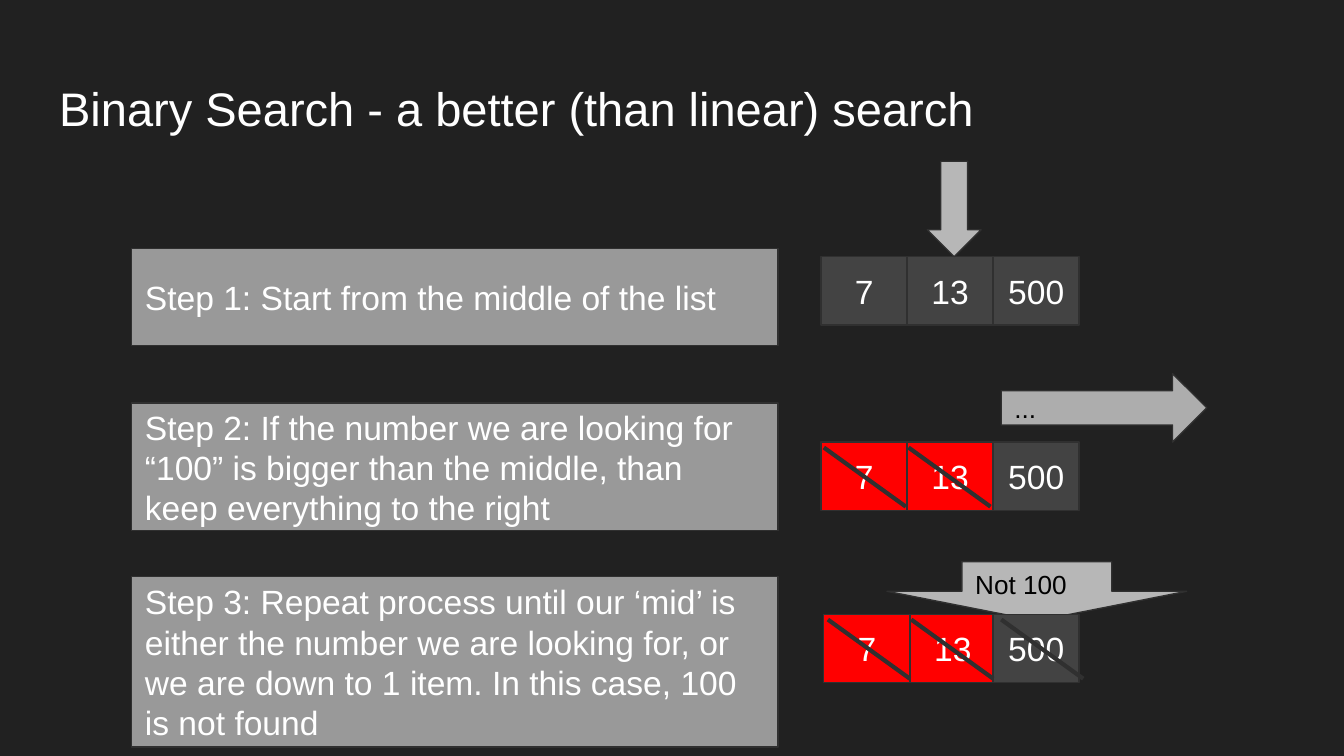
import pptx
import pptx.util
import pptx.dml.color
import pptx.enum.shapes
import pptx.enum.text
import pptx.oxml

Inches = pptx.util.Inches
Pt = pptx.util.Pt
RGBColor = pptx.dml.color.RGBColor
Kind = pptx.enum.shapes.MSO_SHAPE
Align = pptx.enum.text.PP_ALIGN
Anchor = pptx.enum.text.MSO_ANCHOR

BACK = RGBColor(0x21, 0x21, 0x21)
WHITE = RGBColor(0xFF, 0xFF, 0xFF)
BLACK = RGBColor(0x00, 0x00, 0x00)
EDGE = RGBColor(0x30, 0x30, 0x30)
PANEL = RGBColor(0x99, 0x99, 0x99)
DARK = RGBColor(0x43, 0x43, 0x43)
RED = RGBColor(0xFF, 0x00, 0x00)
LIGHT = RGBColor(0xB7, 0xB7, 0xB7)
SILVER = RGBColor(0xAD, 0xAD, 0xAD)

WIDE = Inches(10)
FRAME = {
    "word_wrap": True,
    "vertical_anchor": Anchor.MIDDLE,
    "margin_left": Inches(0.1),
    "margin_top": Inches(0.1),
    "margin_right": Inches(0.1),
    "margin_bottom": Inches(0.1),
}
CELL_W, CELL_H = 0.64, 0.51
STEPS = [
    (1.85, 0.72, "Step 1: Start from the middle of the list"),
    (3, 0.95, "Step 2: If the number we are looking for “100” is bigger "
              "than the middle, than keep everything to the right"),
    (4.29, 1.27, "Step 3: Repeat process until our ‘mid’ is either the number we are "
                 "looking for, or we are down to 1 item. In this case, 100 is not found"),
]


def apply(item, values):
    """Set each named value on the item."""
    for name, value in values.items():
        setattr(item, name, value)


def write(shape, text, size, color=WHITE, align=Align.LEFT):
    """Put one formatted paragraph into a shape."""
    frame = shape.text_frame
    apply(frame, FRAME)
    par = frame.paragraphs[0]
    par.alignment = align
    run = par.add_run()
    apply(run, {"text": text})
    apply(run.font, {"name": "Arial", "size": Pt(size), "bold": False})
    run.font.color.rgb = color


def block(slide, kind, box, fill):
    """Add a filled shape with a thin edge."""
    shape = slide.shapes.add_shape(kind, *map(Inches, box))
    shape.shadow.inherit = False
    shape.fill.solid()
    shape.fill.fore_color.rgb = fill
    shape.line.color.rgb = EDGE
    shape.line.width = Pt(0.75)
    return shape


def title(slide, text):
    """Place the slide title."""
    shape = slide.shapes.title
    apply(shape, {"left": Inches(0.34), "top": Inches(0.49),
                  "width": Inches(9.32), "height": Inches(0.63)})
    write(shape, text, 25.2)
    shape.text_frame.vertical_anchor = Anchor.TOP


def step(slide, top, height, text):
    """Add one step panel."""
    shape = block(slide, Kind.RECTANGLE, (0.98, top, 4.81, height), PANEL)
    write(shape, text, 18)


def cells(slide, top, lefts, fills):
    """Add one row of list cells."""
    for text, left, fill in zip(("7", "13", "500"), lefts, fills):
        shape = block(slide, Kind.RECTANGLE, (left, top, CELL_W, CELL_H), fill)
        write(shape, text, 18, align=Align.CENTER)


def strike(slide, left, top):
    """Cross out a cell with a slanted line."""
    ends = map(Inches, (left, top, left + 0.61, top + 0.44))
    line = slide.shapes.add_connector(pptx.enum.shapes.MSO_CONNECTOR.STRAIGHT, *ends)
    line.line.color.rgb = EDGE
    line.line.width = Pt(2.25)
    props = line._element.spPr
    props.append(pptx.oxml.parse_xml(
        '<a:effectLst xmlns:a="http://schemas.openxmlformats.org/drawingml/2006/main"/>'))


def arrow(slide, kind, box, fill, text=""):
    """Add a block arrow with an optional label."""
    shape = block(slide, kind, box, fill)
    if text:
        write(shape, text, 14, BLACK)


def main():
    """Build and save the slide."""
    deck = pptx.Presentation()
    apply(deck, {"slide_width": WIDE, "slide_height": WIDE * 9 // 16})
    slide = deck.slides.add_slide(deck.slide_layouts[5])
    slide.background.fill.solid()
    slide.background.fill.fore_color.rgb = BACK

    title(slide, "Binary Search - a better (than linear) search")
    for values in STEPS:
        step(slide, *values)

    lefts = [6.11 + CELL_W * col for col in range(3)]
    cells(slide, 1.91, lefts, (DARK, DARK, DARK))
    arrow(slide, Kind.DOWN_ARROW, (6.9, 1.2, 0.4, 0.71), LIGHT)

    arrow(slide, Kind.RIGHT_ARROW, (7.45, 2.78, 1.53, 0.51), SILVER, "...")
    cells(slide, 3.29, lefts, (RED, RED, DARK))
    for left in (6.13, 6.76):
        strike(slide, left, 3.33)

    arrow(slide, Kind.DOWN_ARROW, (6.6, 4.18, 2.23, 0.44), LIGHT, "Not 100")
    cells(slide, 4.57, (6.13, 6.77, 7.39), (RED, RED, DARK))
    for left in (6.16, 6.78, 7.45):
        strike(slide, left, 4.61)

    deck.save("out.pptx")


if __name__ == "__main__":
    main()
